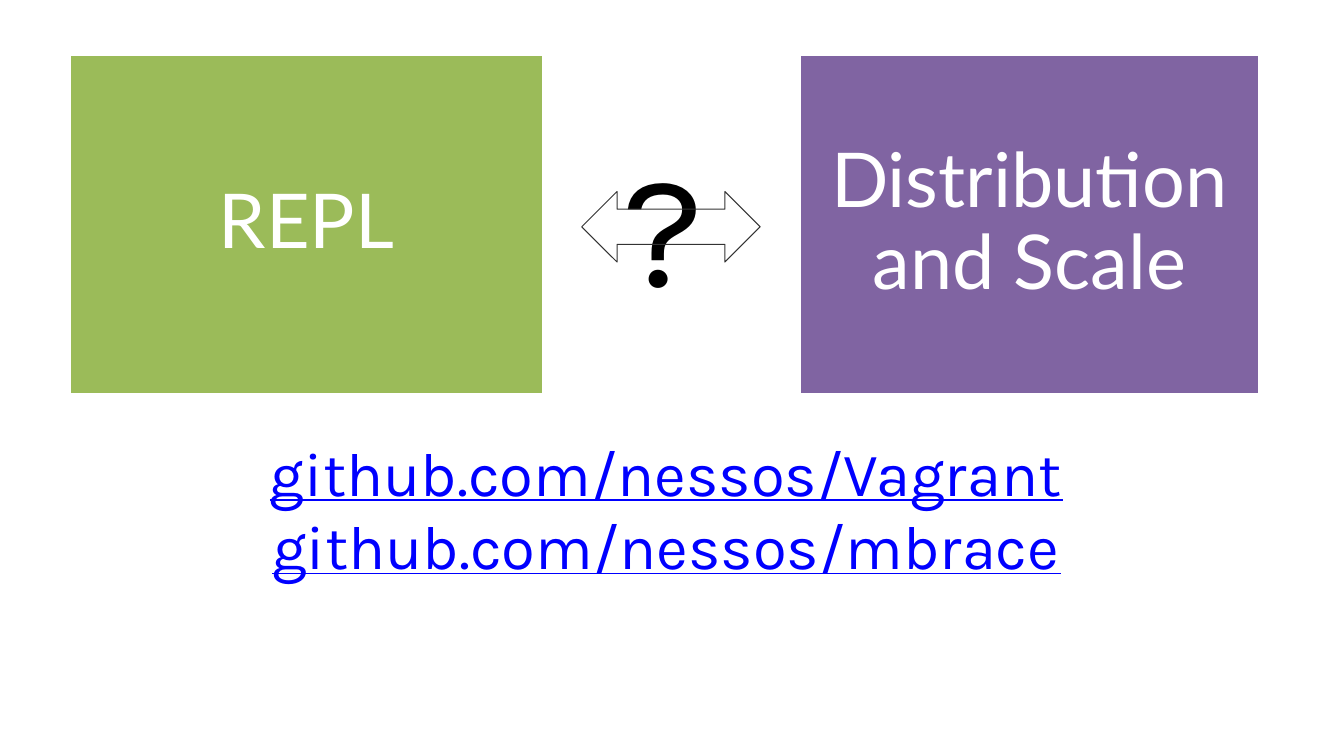
from dataclasses import dataclass

from pptx import Presentation
from pptx.dml.color import RGBColor
from pptx.enum.shapes import MSO_SHAPE
from pptx.enum.text import MSO_ANCHOR, PP_ALIGN
from pptx.util import Inches, Pt


@dataclass(frozen=True)
class Theme:
    green: str = "9BBB59"
    purple: str = "8064A2"
    white: str = "FFFFFF"
    black: str = "000000"
    link: str = "0000FF"
    outline: str = "333333"
    box_font: str = "Lato"
    text_font: str = "Karla"
    box_size: int = 54
    mark_size: int = 115
    link_size: int = 44


theme = Theme()


def style(p, font, size, color):
    p.alignment = PP_ALIGN.CENTER
    p.font.name = font
    p.font.size = Pt(size)
    p.font.color.rgb = RGBColor.from_string(color)


def set_frame(tf, margin, wrap):
    tf.margin_left = tf.margin_right = Inches(margin)
    tf.margin_top = tf.margin_bottom = Inches(margin)
    tf.word_wrap = wrap


prs = Presentation()
prs.slide_width, prs.slide_height = Inches(13.33), Inches(7.5)
s = prs.slides.add_slide(prs.slide_layouts[6])

# Two coloured boxes
for text, left, width, color in [
    ("REPL", 0.69, 4.7, theme.green),
    ("Distribution and Scale", 7.93, 4.56, theme.purple),
]:
    sp = s.shapes.add_shape(
        MSO_SHAPE.RECTANGLE, Inches(left), Inches(0.54), Inches(width), Inches(3.37))
    sp.shadow.inherit = False
    sp.fill.solid()
    sp.fill.fore_color.rgb = RGBColor.from_string(color)
    sp.line.color.rgb = RGBColor.from_string(theme.white)
    sp.line.width = Pt(2)
    tf = sp.text_frame
    set_frame(tf, 0.27, True)
    tf.vertical_anchor = MSO_ANCHOR.MIDDLE
    p = tf.paragraphs[0]
    p.text = text
    p.line_spacing = 0.9
    style(p, theme.box_font, theme.box_size, theme.white)

# Question mark between the boxes
mark = s.shapes.add_textbox(Inches(6.18), Inches(1.25), Inches(0.69), Inches(1.94))
set_frame(mark.text_frame, 0, False)
p = mark.text_frame.paragraphs[0]
p.text = "?"
style(p, theme.text_font, theme.mark_size, theme.black)

# Repository addresses
links = s.shapes.add_textbox(Inches(0.26), Inches(4.31), Inches(12.7), Inches(2.39))
tf = links.text_frame
set_frame(tf, 0, True)
tf.text = "github.com/nessos/Vagrant\ngithub.com/nessos/mbrace"
for p in tf.paragraphs:
    style(p, theme.text_font, theme.link_size, theme.link)
    p.font.underline = True

# Outlined double arrow over the question mark
arrow = s.shapes.add_shape(
    MSO_SHAPE.LEFT_RIGHT_ARROW, Inches(5.77), Inches(1.9), Inches(1.77), Inches(0.7))
arrow.shadow.inherit = False
arrow.fill.background()
arrow.line.color.rgb = RGBColor.from_string(theme.outline)
arrow.line.width = Pt(0.75)

prs.save("out.pptx")
